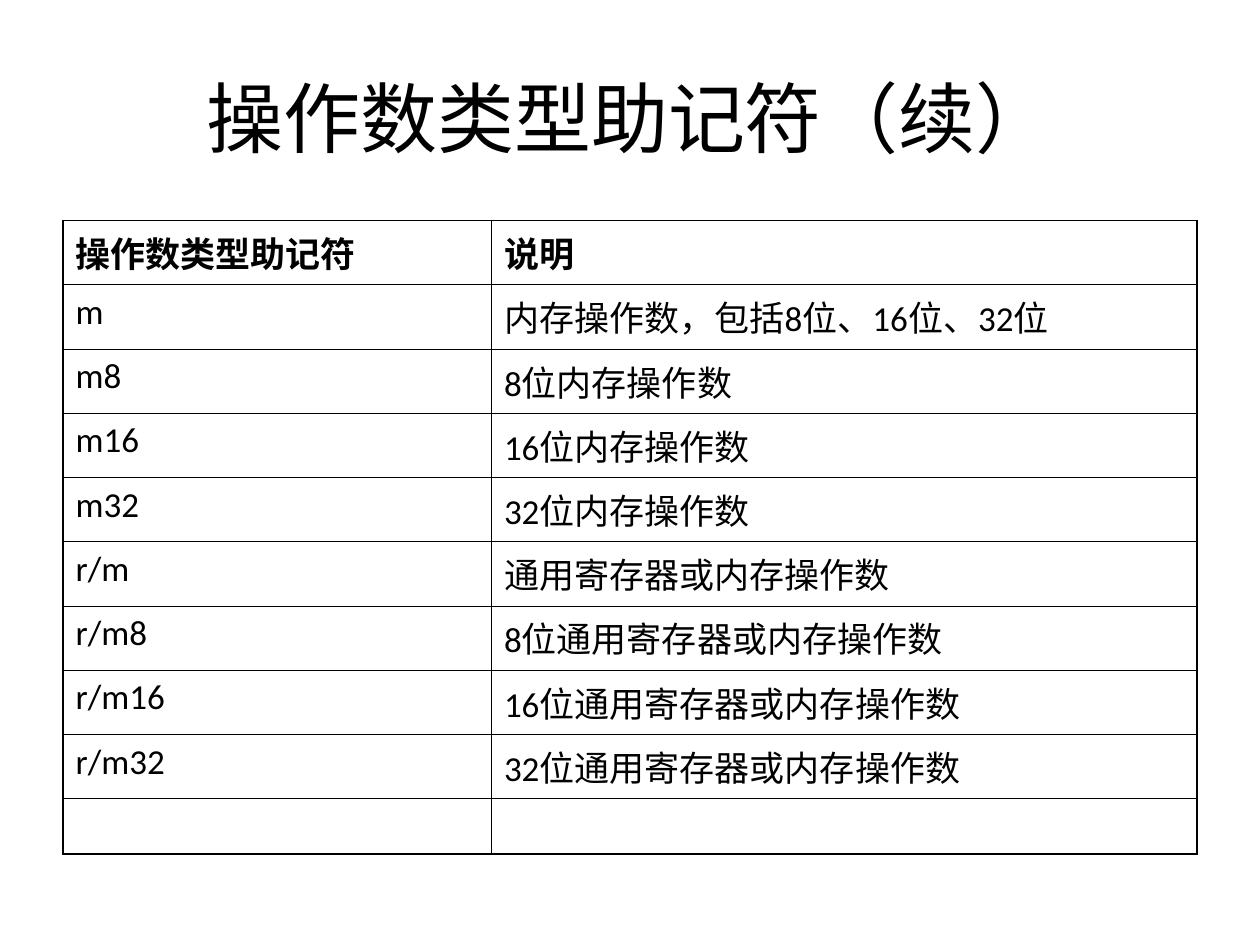
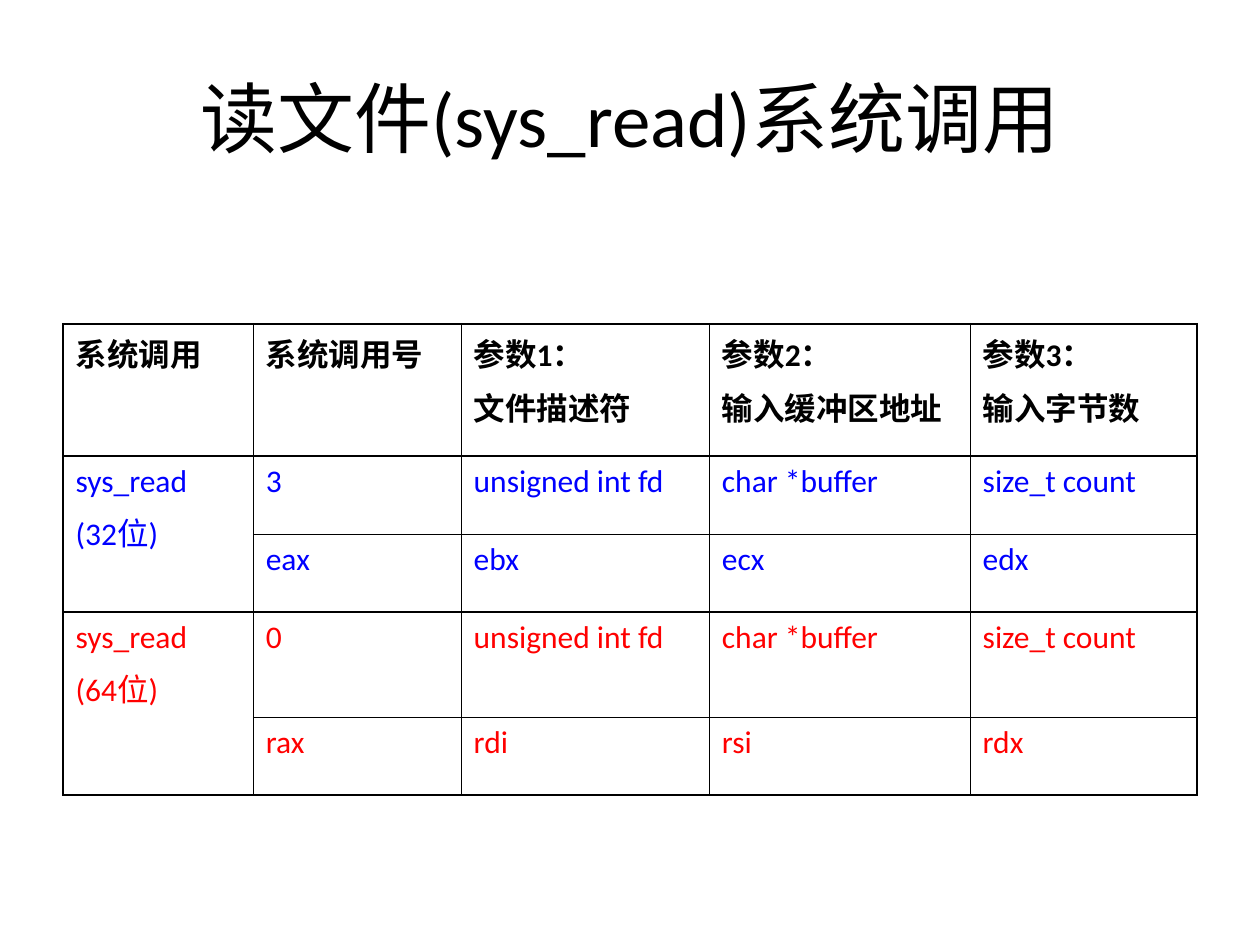
from lxml import etree
from pptx import Presentation
from pptx.dml.color import RGBColor
from pptx.enum import text
from pptx.oxml import ns
from pptx.util import Inches, Pt

# Shared look
FONT = "Calibri"
BLACK, BLUE, RED = "000000", "0000FF", "FF0000"
TITLE_SIZE = 44
THIN, THICK = 0.45, 1.08
LEFT, WIDTH = 0.5, 9

# Slide contents
OPERAND_ROWS = [
    ["操作数类型助记符", "说明"],
    ["m", "内存操作数，包括8位、16位、32位"],
    ["m8", "8位内存操作数"],
    ["m16", "16位内存操作数"],
    ["m32", "32位内存操作数"],
    ["r/m", "通用寄存器或内存操作数"],
    ["r/m8", "8位通用寄存器或内存操作数"],
    ["r/m16", "16位通用寄存器或内存操作数"],
    ["r/m32", "32位通用寄存器或内存操作数"],
    ["", ""],
]
READ_PARAMETERS = ["unsigned int fd", "char *buffer", "size_t count"]
READ_ROWS = [
    ["系统调用", "系统调用号", "参数1：\n文件描述符",
     "参数2：\n输入缓冲区地址", "参数3：\n输入字节数"],
    ["sys_read\n(32位)", "3", *READ_PARAMETERS],
    ["", "eax", "ebx", "ecx", "edx"],
    ["sys_read\n(64位)", "0", *READ_PARAMETERS],
    ["", "rax", "rdi", "rsi", "rdx"],
]


def rgb(value):
    return RGBColor.from_string(value)


def style_paragraph(paragraph, size, color, bold=False):
    font = paragraph.font
    font.name, font.size, font.bold = FONT, Pt(size), bold
    font.color.rgb = rgb(color)


def add_title(slide, title):
    box = slide.shapes.add_textbox(
        Inches(LEFT), Inches(0.3), Inches(WIDTH), Inches(1.25))
    frame = box.text_frame
    frame.word_wrap = True
    frame.vertical_anchor = text.MSO_ANCHOR.MIDDLE
    frame.text = title
    paragraph = frame.paragraphs[0]
    paragraph.alignment = text.PP_ALIGN.CENTER
    style_paragraph(paragraph, TITLE_SIZE, BLACK)


def set_border(cell, side, width):
    properties = cell._tc.get_or_add_tcPr()
    line = etree.SubElement(properties, ns.qn(f"a:ln{side}"), w=str(Pt(width)))
    fill = etree.SubElement(line, ns.qn("a:solidFill"))
    etree.SubElement(fill, ns.qn("a:srgbClr"), val=BLACK)


def rule_cell(cell, row, column, column_count, thick_rows):
    """Thick lines go round the table and between row groups."""
    bottom = row + (cell.span_height if cell.is_merge_origin else 1)
    set_border(cell, "L", THICK if column == 0 else THIN)
    set_border(cell, "R", THICK if column == column_count - 1 else THIN)
    if not cell.is_spanned:
        set_border(cell, "T", THICK if row in thick_rows else THIN)
    set_border(cell, "B", THICK if bottom in thick_rows else THIN)


def fill_cell(cell, content, size, color, bold):
    cell.fill.background()
    cell.text = content
    for paragraph in cell.text_frame.paragraphs:
        paragraph.space_before = Pt(size / 4)
        style_paragraph(paragraph, size, color, bold)


def add_ruled_table(slide, top, widths, heights, rows, size,
                    thick_rows, row_colors, merges=()):
    frame = slide.shapes.add_table(
        len(rows), len(widths), Inches(LEFT), Inches(top),
        Inches(WIDTH), Inches(sum(heights)))
    table = frame.table
    table.first_row = table.horz_banding = False
    for column, width in zip(table.columns, widths):
        column.width = Inches(width)
    for row, height in zip(table.rows, heights):
        row.height = Inches(height)
    for first, last in merges:
        table.cell(first, 0).merge(table.cell(last, 0))
    for row, contents in enumerate(rows):
        for column, content in enumerate(contents):
            cell = table.cell(row, column)
            rule_cell(cell, row, column, len(widths), thick_rows)
            fill_cell(cell, content, size, row_colors[row], row == 0)


def main():
    presentation = Presentation()
    presentation.slide_width, presentation.slide_height = Inches(10), Inches(7.5)
    blank = presentation.slide_layouts[6]

    # Operand type mnemonics
    slide = presentation.slides.add_slide(blank)
    add_title(slide, "操作数类型助记符（续）")
    add_ruled_table(
        slide, 1.75, [3.4, 5.6], [0.51] * 9 + [0.44], OPERAND_ROWS, 20,
        thick_rows={0, len(OPERAND_ROWS)},
        row_colors=[BLACK] * len(OPERAND_ROWS))

    # The sys_read system call, one row pair per word size
    slide = presentation.slides.add_slide(blank)
    add_title(slide, "读文件(sys_read)系统调用")
    add_ruled_table(
        slide, 2.57, [1.51, 1.65, 1.97, 2.07, 1.8],
        [1.05, 0.62, 0.62, 0.83, 0.62], READ_ROWS, 18,
        thick_rows={0, 1, 3, 5},
        row_colors=[BLACK, BLUE, BLUE, RED, RED],
        merges=[(1, 2), (3, 4)])

    presentation.save("out.pptx")


if __name__ == "__main__":
    main()
